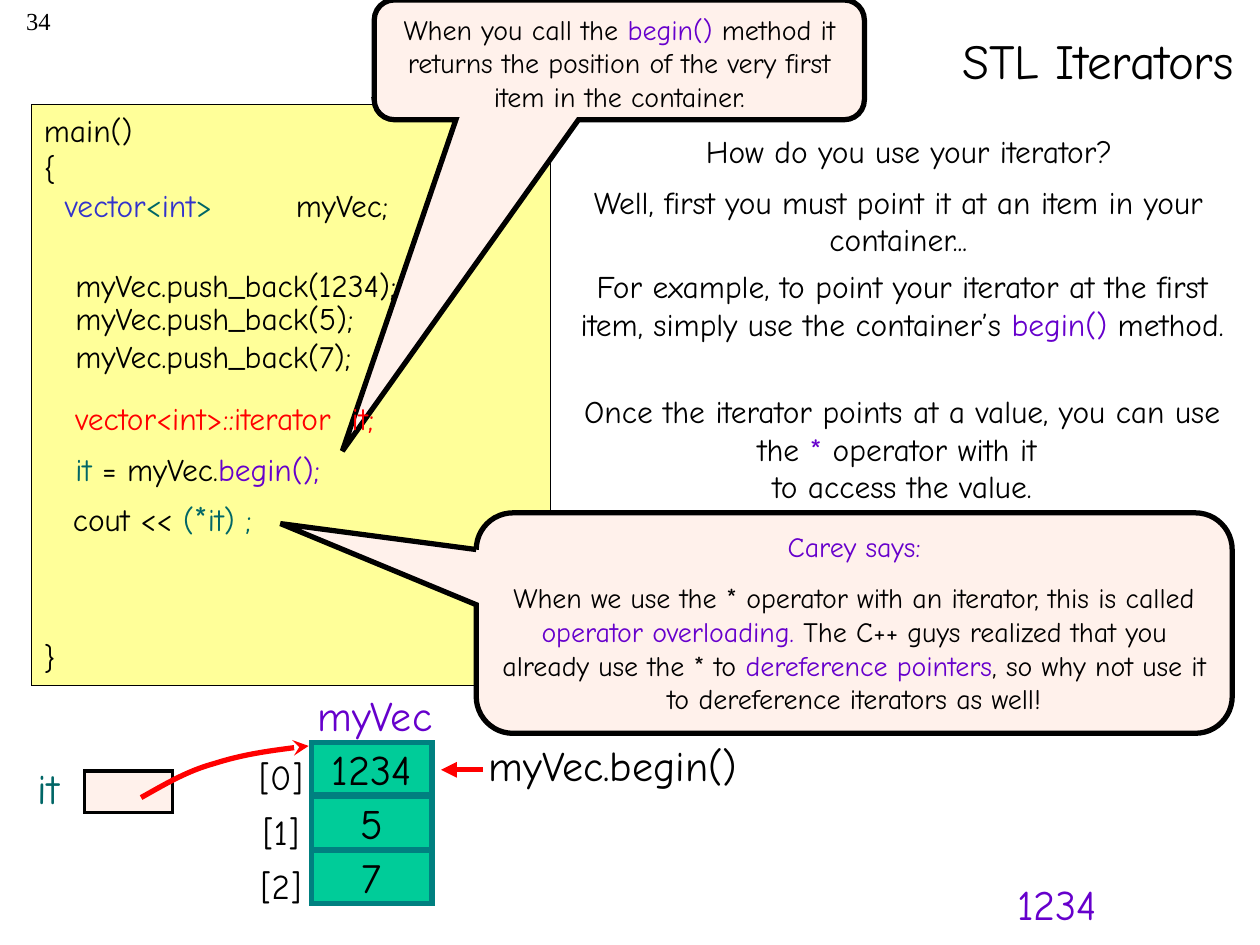
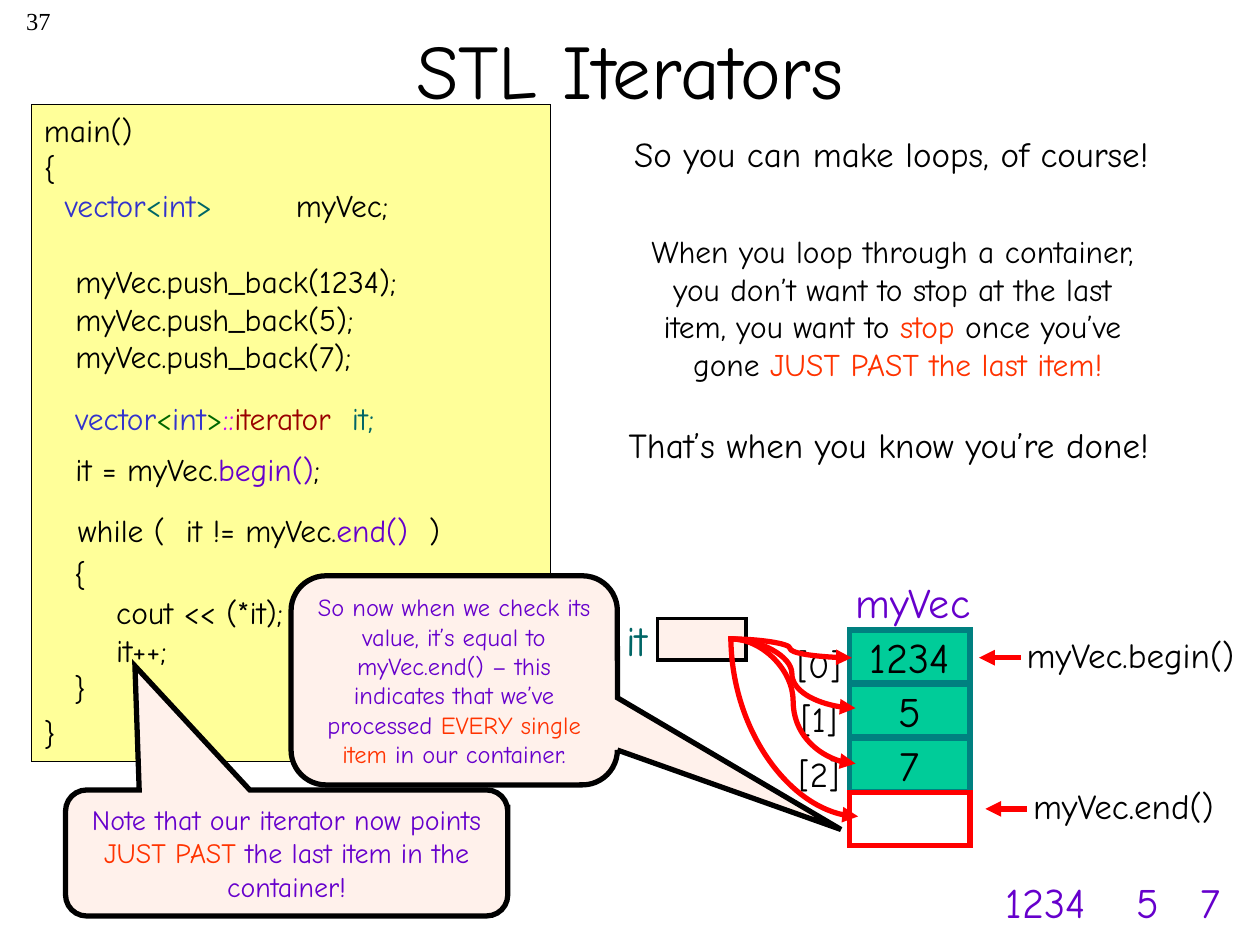
from dataclasses import dataclass

from lxml.etree import SubElement
from pptx import Presentation
from pptx.dml.color import RGBColor
from pptx.enum.shapes import MSO_CONNECTOR, MSO_SHAPE
from pptx.enum.text import MSO_ANCHOR, PP_ALIGN
from pptx.oxml.ns import qn
from pptx.util import Pt

EMU_PER_PX = 9144  # 100 px to the inch
FONT = "Comic Neue"
NUMBER_FONT = "Times New Roman"
CODE_LINE = 21.5  # height of one line of code in points
ROW_STEP = 43

BLACK = RGBColor(0x00, 0x00, 0x00)
RED = RGBColor(0xFF, 0x00, 0x00)
ORANGE = RGBColor(0xFF, 0x33, 0x00)
MAROON = RGBColor(0x99, 0x00, 0x00)
MAGENTA = RGBColor(0xCC, 0x00, 0xFF)
PURPLE = RGBColor(0x66, 0x00, 0xCC)
BLUE = RGBColor(0x33, 0x33, 0xCC)
GREEN = RGBColor(0x00, 0x66, 0x00)
TEAL = RGBColor(0x00, 0x66, 0x66)
CELL_FILL = RGBColor(0x00, 0xCC, 0x99)
CELL_LINE = RGBColor(0x00, 0x80, 0x80)
YELLOW = RGBColor(0xFF, 0xFF, 0x99)
PINK = RGBColor(0xFF, 0xF1, 0xEB)


@dataclass(frozen=True)
class Box:
    left: int
    top: int
    width: int
    height: int

    def emu(self) -> list[int]:
        return [px(n) for n in (self.left, self.top, self.width, self.height)]


@dataclass(frozen=True)
class Run:
    text: str
    color: RGBColor | None = None
    size: int | None = None


@dataclass(frozen=True)
class Line:
    """One paragraph, with the space before it in points."""
    runs: tuple[Run, ...]
    before: float = 0


@dataclass(frozen=True)
class Callout:
    box: Box
    tip: tuple[float, float]
    lines: tuple[Line, ...]
    size: int = 16


def px(length: float) -> int:
    return round(length * EMU_PER_PX)


def line(*parts: str | Run, before: float = 0) -> Line:
    return Line(tuple(p if isinstance(p, Run) else Run(p) for p in parts), before)


def write(shape, *lines: Line, size: int = 18, color: RGBColor = BLACK,
          font: str = FONT, align=PP_ALIGN.LEFT, anchor=MSO_ANCHOR.TOP) -> None:
    frame = shape.text_frame
    frame.word_wrap = True
    frame.vertical_anchor = anchor
    for index, content in enumerate(lines):
        paragraph = frame.add_paragraph() if index else frame.paragraphs[0]
        paragraph.alignment = align
        if content.before:
            paragraph.space_before = Pt(content.before)
        if any("\t" in part.text for part in content.runs):
            tabs = SubElement(paragraph._p.get_or_add_pPr(), qn("a:tabLst"))
            SubElement(tabs, qn("a:tab"), pos=str(px(200)), algn="l")
        for part in content.runs:
            for number, piece in enumerate(part.text.split("\n")):
                if number:
                    paragraph.add_line_break()
                run = paragraph.add_run()
                run.text = piece
                run.font.name = font
                run.font.size = Pt(part.size or size)
                run.font.color.rgb = part.color or color


def add_text(slide, box: Box, *parts: str | Run, **text_format) -> None:
    write(slide.shapes.add_textbox(*box.emu()), line(*parts), **text_format)


def add_centered(slide, box: Box, *parts: str | Run, **text_format) -> None:
    add_text(slide, box, *parts, align=PP_ALIGN.CENTER, **text_format)


def add_box(slide, box: Box, fill: RGBColor | None, outline: RGBColor,
            width: float, kind=MSO_SHAPE.RECTANGLE):
    shape = slide.shapes.add_shape(kind, *box.emu())
    shape.shadow.inherit = False
    if fill is None:
        shape.fill.background()
    else:
        shape.fill.solid()
        shape.fill.fore_color.rgb = fill
    shape.line.color.rgb = outline
    shape.line.width = Pt(width)
    SubElement(shape.line._get_or_add_ln(), qn("a:miter"), lim="800000")
    return shape


def style_arrow(shape, head: str = "triangle") -> None:
    shape.line.color.rgb = RED
    shape.line.width = Pt(3)
    SubElement(shape.line._get_or_add_ln(), qn("a:tailEnd"), type=head)


def add_arrow(slide, start: tuple[float, float], end: tuple[float, float],
              kind=MSO_CONNECTOR.STRAIGHT):
    connector = slide.shapes.add_connector(kind, *map(px, start + end))
    style_arrow(connector)
    SubElement(connector._element.spPr, qn("a:effectLst"))
    return connector


def add_bend(slide, start: tuple[int, int], end: tuple[int, int]) -> None:
    """Draw a single-bend curve that leaves downwards and arrives sideways."""
    middle_x, middle_y = (start[0] + end[0]) / 2, (start[1] + end[1]) / 2
    half_width, half_height = (end[1] - start[1]) / 2, (end[0] - start[0]) / 2
    connector = add_arrow(slide, (middle_x - half_width, middle_y - half_height),
                          (middle_x + half_width, middle_y + half_height),
                          MSO_CONNECTOR.CURVE)
    properties = connector._element.spPr
    properties.find(qn("a:prstGeom")).set("prst", "curvedConnector2")
    transform = properties.find(qn("a:xfrm"))
    transform.set("rot", str(270 * 60000))
    transform.set("flipH", "1")


def add_bezier_arrow(slide, start: tuple[int, int],
                     points: list[tuple[int, int]]) -> None:
    """Draw an open curve; every three points make one cubic segment."""
    builder = slide.shapes.build_freeform(*start, scale=EMU_PER_PX)
    builder.add_line_segments(points, close=False)
    shape = builder.convert_to_shape()
    shape.shadow.inherit = False
    shape.fill.background()
    style_arrow(shape, "stealth")
    outline = next(shape._element.iter(qn("a:path")))
    segments = outline.findall(qn("a:lnTo"))
    for first in range(0, len(segments), 3):
        curve = SubElement(outline, qn("a:cubicBezTo"))
        for segment in segments[first:first + 3]:
            curve.append(segment[0])
            outline.remove(segment)


def add_callout(slide, callout: Callout) -> None:
    shape = add_box(slide, callout.box, PINK, BLACK, 3,
                    MSO_SHAPE.ROUNDED_RECTANGULAR_CALLOUT)
    for index, value in enumerate((*callout.tip, 0.167)):
        shape.adjustments[index] = value
    write(shape, *callout.lines, size=callout.size, align=PP_ALIGN.CENTER)


def add_code(slide, height: int, *body: Line, blank_lines_at_end: int) -> None:
    shape = add_box(slide, Box(25, 83, 412, height), YELLOW, BLACK, 0.25)
    declaration = line("  ", Run("vector", BLUE), Run("<", TEAL), Run("int", BLUE),
                       Run(">", TEAL), " \tmyVec;")
    write(shape, line("main()"), line("{"), declaration, *body,
          line("   myVec.push_back(7);"),
          line("}", before=blank_lines_at_end * CODE_LINE))


def add_vector(slide, left: int, top: int) -> None:
    for index, value in enumerate(("1234", "5", "7")):
        row_top = top + index * ROW_STEP
        cell = add_box(slide, Box(left, row_top, 96, 42), CELL_FILL, CELL_LINE, 3)
        write(cell, line(value), size=24, align=PP_ALIGN.CENTER,
              anchor=MSO_ANCHOR.MIDDLE)
        add_centered(slide, Box(left - 54, row_top + 6, 60, 43), f"[{index}]", size=20)
    add_centered(slide, Box(left - 14, top - 47, 129, 50), "myVec",
                 size=24, color=PURPLE)


def add_iterator(slide, label: Box, left: int, top: int) -> None:
    add_centered(slide, label, "it", size=24, color=TEAL)
    add_box(slide, Box(left, top, 70, 33), PINK, BLACK, 2)


def add_position(slide, left: int, top: int, text: str, size: int) -> None:
    """Name a position in the vector, with an arrow pointing left at it."""
    add_text(slide, Box(left, top, 10 * size - 5, 50), text, size=size)
    arrow_y = top + round(size * 1.2)
    add_arrow(slide, (left + 5, arrow_y), (left - 28, arrow_y))


def add_slide(presentation, number: str, title: Box, title_size: int, title_align):
    slide = presentation.slides.add_slide(presentation.slide_layouts[6])
    add_text(slide, Box(0, 0, 50, 50), number, size=14, font=NUMBER_FONT,
             align=PP_ALIGN.RIGHT)
    add_text(slide, title, "STL Iterators", size=title_size, align=title_align,
             anchor=MSO_ANCHOR.MIDDLE)
    return slide


def build_begin_slide(presentation) -> None:
    slide = add_slide(presentation, "34", Box(139, -15, 850, 125), 28, PP_ALIGN.RIGHT)
    add_code(slide, 461, line("   myVec.push_back(5);", before=2 * CODE_LINE),
             blank_lines_at_end=7)
    add_text(slide, Box(50, 352, 236, 40), Run("it", TEAL), " = myVec.",
             Run("begin();", PURPLE))
    add_text(slide, Box(48, 389, 190, 43), "cout <<", Run(" (", TEAL),
             Run("*", TEAL, 20), Run("it) ;", TEAL))

    add_centered(slide, Box(467, 100, 509, 40), "How do you use your iterator?")
    add_centered(slide, Box(450, 140, 526, 71),
                 "Well, first you must point it at an item in your container...")
    add_centered(slide, Box(437, 207, 558, 101),
                 "For example, to point your iterator at the first item, "
                 "simply use the container’s ", Run("begin()", PURPLE), " method.")
    add_centered(slide, Box(437, 306, 558, 101),
                 "Once the iterator points at a value, you can use the ",
                 Run("*", PURPLE), " operator with it \nto access the value.")

    add_vector(slide, 247, 589)
    add_iterator(slide, Box(16, 600, 45, 50), 67, 612)
    add_bezier_arrow(slide, (112, 633), [(130, 623), (148, 612), (170, 606),
                                         (192, 599), (219, 595), (245, 592)])
    add_centered(slide, Box(789, 692, 100, 50), "1234", size=24, color=PURPLE)

    add_callout(slide, Callout(Box(297, 0, 389, 95), (-0.565, 3.268), (
        line("When you call the ", Run("begin()", PURPLE),
             " method it returns the position of the very first item "
             "in the container."),)))
    add_position(slide, 378, 582, "myVec.begin()", 24)
    add_callout(slide, Callout(Box(378, 407, 600, 175), (-0.759, -0.451), (
        line(Run("Carey says:", PURPLE)),
        line("When we use the * operator with an iterator, this is called ",
             Run("operator overloading. ", PURPLE),
             "The C++ guys realized that you already use the * to ",
             Run("dereference pointers", PURPLE),
             ", so why not use it to dereference iterators as well!", before=10))))
    add_text(slide, Box(50, 312, 297, 40), "vector<int>::iterator  it;", color=RED)
    add_text(slide, Box(50, 206, 310, 40), "myVec.push_back(1234);")


def build_end_slide(presentation) -> None:
    slide = add_slide(presentation, "37", Box(75, -8, 850, 125), 44, PP_ALIGN.CENTER)
    add_code(slide, 521, line("   myVec.push_back(1234);", before=CODE_LINE),
             line("   myVec.push_back(5);"), blank_lines_at_end=9)
    add_text(slide, Box(50, 312, 297, 40), Run("vector", BLUE), Run("<", GREEN),
             Run("int", BLUE), Run(">", GREEN), Run("::", MAGENTA),
             Run("iterator", MAROON), Run("  it;", TEAL))
    add_text(slide, Box(50, 352, 236, 40), "it = myVec.", Run("begin()", PURPLE), ";")
    add_text(slide, Box(52, 401, 329, 40), "while (  it != myVec.",
             Run("end()", PURPLE), "  )")
    loop_body = slide.shapes.add_textbox(*Box(49, 436, 193, 130).emu())
    write(loop_body, line("{"), line("    cout << (*it);"), line("    it++;"), line("}"))

    add_centered(slide, Box(420, 100, 575, 44), "So you can make loops, of course!",
                 size=20)
    add_centered(slide, Box(425, 179, 575, 131),
                 "When you loop through a container, \n"
                 "you don’t want to stop at the last \nitem, you want to ",
                 Run("stop", ORANGE), " once you’ve \ngone ",
                 Run("JUST PAST the last item!", ORANGE))
    add_centered(slide, Box(418, 331, 575, 44), "That’s when you know you’re done!",
                 size=20)

    add_vector(slide, 674, 500)
    add_box(slide, Box(674, 500 + 3 * ROW_STEP, 96, 42), None, RED, 3)
    add_iterator(slide, Box(483, 483, 45, 50), 522, 491)
    for start, end in (((578, 507), (676, 522)), ((578, 507), (679, 562)),
                       ((580, 507), (679, 606))):
        add_arrow(slide, start, end, MSO_CONNECTOR.CURVE)
    add_bend(slide, (580, 505), (681, 648))
    for left, width, value in ((782, 96, "1234"), (891, 40, "5"), (941, 40, "7")):
        add_centered(slide, Box(left, 691, width, 50), value, size=24, color=PURPLE)
    add_position(slide, 805, 498, "myVec.begin()", 20)
    add_position(slide, 810, 618, "myVec.end()", 20)

    add_callout(slide, Callout(Box(52, 627, 351, 100), (-0.343, -1.485), (
        line(Run("Note that our iterator now points ", PURPLE),
             Run("JUST PAST ", ORANGE),
             Run("the last item in the container!", PURPLE)),)))
    add_callout(slide, Callout(Box(231, 457, 259, 166), (1.185, 0.713), (
        line(Run("So now when we check its value, it’s equal to myVec.end() – this "
                 "indicates that we’ve processed ", PURPLE),
             Run("EVERY single item", ORANGE),
             Run(" in our container.", PURPLE)),), size=14))


def main() -> None:
    presentation = Presentation()
    presentation.slide_width = px(1000)
    presentation.slide_height = px(750)
    build_begin_slide(presentation)
    build_end_slide(presentation)
    presentation.save("out.pptx")


if __name__ == "__main__":
    main()
